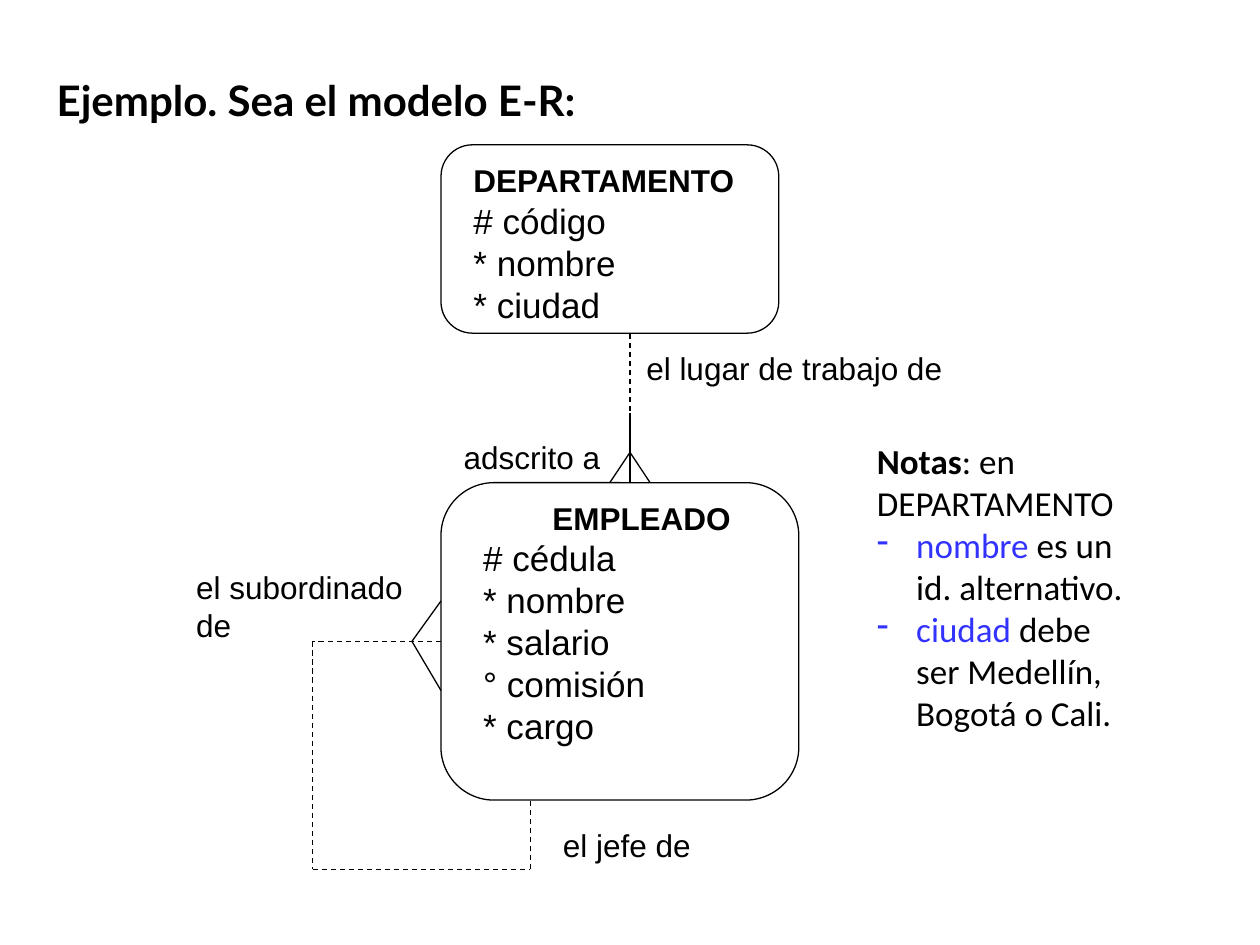
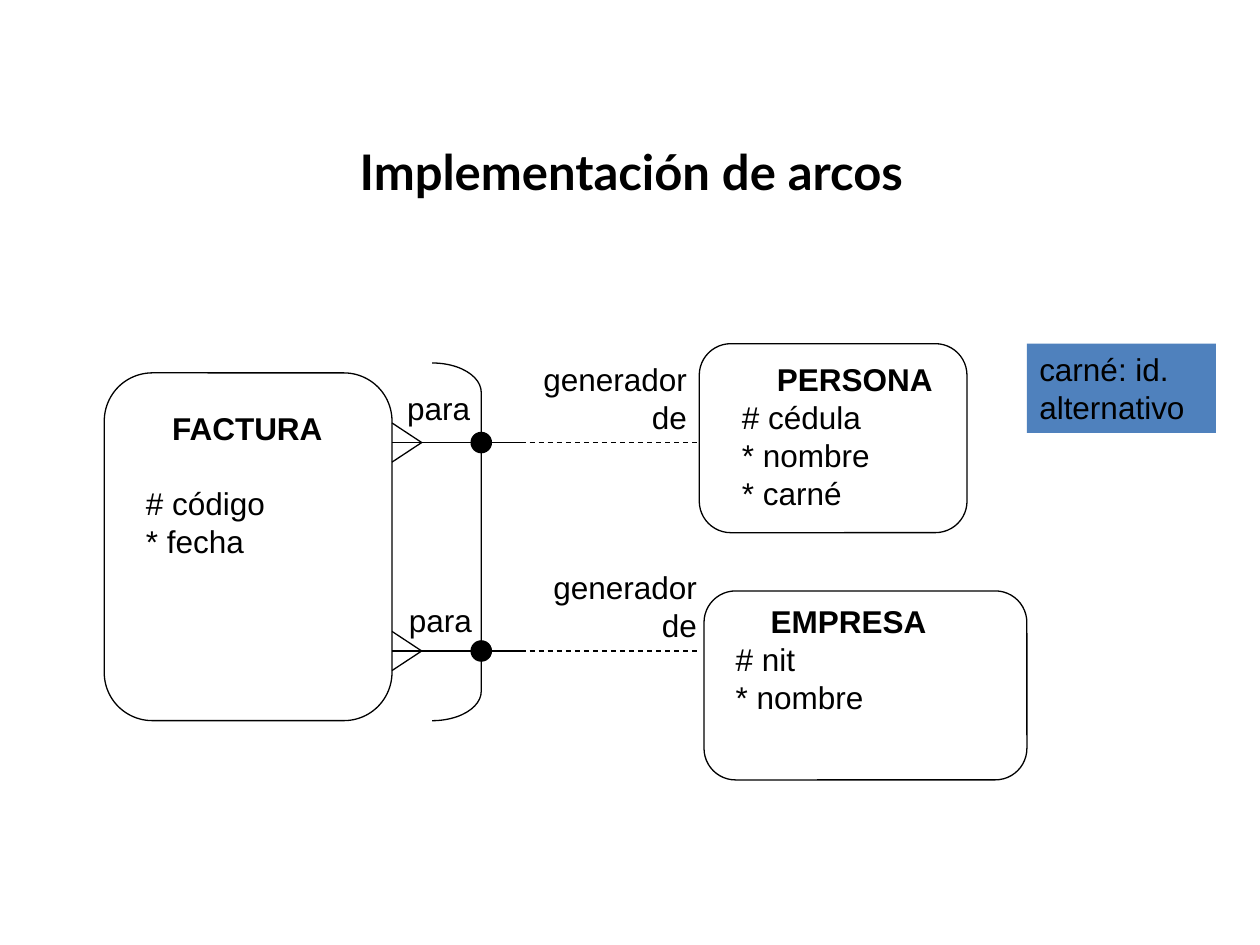
from dataclasses import dataclass

from lxml.etree import SubElement
from pptx import Presentation
from pptx.dml.color import RGBColor
from pptx.enum.dml import MSO_LINE
from pptx.enum.shapes import MSO_CONNECTOR, MSO_SHAPE
from pptx.enum.text import MSO_ANCHOR, PP_ALIGN
from pptx.oxml.ns import qn
from pptx.util import Pt

BLACK = RGBColor(0x00, 0x00, 0x00)
WHITE = RGBColor(0xFF, 0xFF, 0xFF)
BLUE = RGBColor(0x33, 0x33, 0xFF)
STEEL = RGBColor(0x4F, 0x81, 0xBD)
TITLE_FONT, BODY_FONT, NOTE_FONT = "Lato", "Arial", "Calibri"
LINE_WIDTH = 0.75

Point = tuple[float, float]
Box = tuple[float, float, float, float]


@dataclass
class Entity:
    outline: Box
    text_box: Box
    name: str
    attributes: list[str]
    name_indent: float = 0
    attribute_indent: float = 0
    attribute_size: float = 18
    name_gap: float = 0


@dataclass
class Label:
    box: Box
    lines: list[str]
    align: PP_ALIGN = PP_ALIGN.LEFT
    fill: RGBColor | None = None


@dataclass
class Line:
    start: Point
    end: Point
    dashed: bool = False


def points(box: Box) -> list[Pt]:
    return [Pt(v) for v in box]


def style_run(r, font: str, size: float, color: RGBColor = BLACK, bold: bool = False) -> None:
    r.font.name = font
    r.font.size = Pt(size)
    r.font.color.rgb = color
    r.font.bold = bold


def indent(p, left: float, first: float = 0) -> None:
    pPr = p._p.get_or_add_pPr()
    pPr.set("marL", str(Pt(left)))
    pPr.set("indent", str(Pt(first)))


def add_titled_slide(prs, title: str, box: Box, size: float, top_inset: float, align: PP_ALIGN):
    s = prs.slides.add_slide(prs.slide_layouts[5])
    sp = s.shapes.title
    sp.left, sp.top, sp.width, sp.height = points(box)
    tf = sp.text_frame
    tf.text = title
    tf.vertical_anchor = MSO_ANCHOR.TOP
    tf.margin_top = Pt(top_inset)
    p = tf.paragraphs[0]
    p.alignment = align
    style_run(p.runs[0], TITLE_FONT, size, bold=True)
    return s


def add_text_box(s, box: Box, fill: RGBColor | None = None):
    sp = s.shapes.add_textbox(*points(box))
    sp.text_frame.word_wrap = True
    if fill is not None:
        sp.fill.solid()
        sp.fill.fore_color.rgb = fill
    return sp.text_frame


def add_outline(s, kind: MSO_SHAPE, box: Box, adjustment: float | None = None,
                fill: RGBColor | None = None) -> None:
    sp = s.shapes.add_shape(kind, *points(box))
    sp.shadow.inherit = False
    sp.line.color.rgb = BLACK
    sp.line.width = Pt(LINE_WIDTH)
    if adjustment is not None:
        sp.adjustments[0] = adjustment
    if fill is None:
        sp.fill.background()
    else:
        sp.fill.solid()
        sp.fill.fore_color.rgb = fill


def add_entity(s, entity: Entity) -> None:
    add_outline(s, MSO_SHAPE.ROUNDED_RECTANGLE, entity.outline, 0.167)
    tf = add_text_box(s, entity.text_box)
    tf.text = "\n".join([entity.name, *entity.attributes])
    name, *attributes = tf.paragraphs
    indent(name, entity.name_indent)
    name.space_after = Pt(entity.name_gap)
    style_run(name.runs[0], BODY_FONT, 18, bold=True)
    for p in attributes:
        indent(p, entity.attribute_indent)
        style_run(p.runs[0], BODY_FONT, entity.attribute_size)


def add_label(s, label: Label) -> None:
    tf = add_text_box(s, label.box, label.fill)
    tf.text = "\n".join(label.lines)
    for p in tf.paragraphs:
        p.alignment = label.align
        style_run(p.runs[0], BODY_FONT, 18)


def add_line(s, line: Line) -> None:
    c = s.shapes.add_connector(MSO_CONNECTOR.STRAIGHT, *points(line.start + line.end))
    c.line.color.rgb = BLACK
    c.line.width = Pt(LINE_WIDTH)
    if line.dashed:
        c.line.dash_style = MSO_LINE.DASH
    SubElement(c._element.spPr, qn("a:effectLst"))


def add_crow_foot(s, tip: Point, toes: tuple[Point, Point]) -> None:
    for toe in toes:
        add_line(s, Line(tip, toe))


def add_dashed_route(s, stops: list[Point]) -> None:
    for start, end in zip(stops, stops[1:]):
        add_line(s, Line(start, end, dashed=True))


def add_notes_panel(s, box: Box, heading: str, intro: str, notes: list[tuple[str, str]]) -> None:
    """Write a bold heading with its intro, then dashed notes with a blue keyword each."""
    tf = add_text_box(s, box, WHITE)
    p = tf.paragraphs[0]
    for text, bold in ((heading, True), (intro, False)):
        r = p.add_run()
        r.text = text
        style_run(r, NOTE_FONT, 20, bold=bold)
    for keyword, rest in notes:
        p = tf.add_paragraph()
        indent(p, 22.5, -22.5)
        SubElement(p._p.get_or_add_pPr(), qn("a:buChar")).set("char", "-")
        for text, color in ((keyword, BLUE), (rest, BLACK)):
            r = p.add_run()
            r.text = text
            style_run(r, NOTE_FONT, 20, color)


def build_model_slide(prs) -> None:
    s = add_titled_slide(prs, "Ejemplo. Sea el modelo E-R:", (25.2, 0, 648, 90), 24, 42.5,
                         PP_ALIGN.LEFT)
    add_entity(s, Entity((252, 82.8, 193, 107.6), (263.5, 88.6, 166.5, 101), "DEPARTAMENTO",
                         ["# código", "* nombre", "* ciudad"], attribute_size=20))
    add_entity(s, Entity((252, 275.8, 204.5, 181.4), (263.5, 281.5, 209.5, 149), "EMPLEADO",
                         ["# cédula", "* nombre", "* salario", "° comisión", "* cargo"],
                         name_indent=45, attribute_indent=5.5, attribute_size=20))

    add_line(s, Line((360, 236.2), (360, 275.8)))
    add_line(s, Line((360, 190.8), (360, 236.2), dashed=True))
    add_crow_foot(s, (360, 258.5), ((348.5, 275.8), (371.5, 275.8)))
    add_dashed_route(s, [(252, 366.5), (178.6, 366.5), (178.6, 496.8), (303.1, 496.8),
                         (303.1, 457.2)])
    add_crow_foot(s, (235.4, 366.5), ((252, 343.4), (252, 394.6)))

    for label in (
        Label((314.6, 468.7, 90, 29), ["el jefe de"]),
        Label((105, 321.1, 137.5, 50.4), ["el subordinado", "de"]),
        Label((362.2, 195.8, 209.5, 29), ["el lugar de trabajo de"]),
        Label((257.8, 247, 118.8, 29), ["adscrito a"]),
    ):
        add_label(s, label)
    add_notes_panel(s, (494, 247.7, 162.7, 200.9), "Notas", ": en DEPARTAMENTO",
                    [("nombre", " es un id. alternativo."),
                     ("ciudad", " debe ser Medellín, Bogotá o Cali.")])


def build_arcs_slide(prs) -> None:
    s = add_titled_slide(prs, "Implementación de arcos", (36.7, 77, 648, 70.6), 28, 4,
                         PP_ALIGN.CENTER)
    for entity in (
        Entity((59.6, 213.1, 164.4, 198.7), (76.3, 230.4, 117.4, 93.6), "FACTURA",
               ["# código", "* fecha"], name_indent=15, name_gap=21),
        Entity((399.6, 196.4, 153, 108), (416.9, 202.3, 136, 115.2), "PERSONA",
               ["# cédula", "* nombre", "* carné"], name_indent=20),
        Entity((402.3, 337.7, 184.5, 108), (413.3, 340.6, 124.6, 94.3), "EMPRESA",
               ["# nit", "* nombre"], name_indent=20),
    ):
        add_entity(s, entity)

    factura_edge, tip_x, middle_x, target_x = 224, 241, 297.5, 399.6
    arc_x, dot = 275, 11.6
    add_outline(s, MSO_SHAPE.RIGHT_BRACKET, (247, 207.4, arc_x - 247, 204.4), 0.599)
    for y in (252.9, 372):
        add_crow_foot(s, (tip_x, y), ((factura_edge, y - 11.2), (factura_edge, y + 11.2)))
        add_line(s, Line((factura_edge, y), (middle_x, y)))
        add_line(s, Line((middle_x, y), (target_x, y), dashed=True))
        add_outline(s, MSO_SHAPE.OVAL, (arc_x - dot / 2, y - dot / 2, dot, dot), fill=BLACK)

    for label in (
        Label((297.4, 202.3, 102.2, 50.4), ["generador de"], PP_ALIGN.RIGHT),
        Label((303.1, 321.1, 102.2, 50.4), ["generador de"], PP_ALIGN.RIGHT),
        Label((213.1, 218.9, 62.6, 29), ["para"], PP_ALIGN.RIGHT),
        Label((214.2, 339.8, 62.6, 29), ["para"], PP_ALIGN.RIGHT),
        Label((586.8, 196.4, 108, 51), ["carné: id. alternativo"], fill=STEEL),
    ):
        add_label(s, label)


def main() -> None:
    prs = Presentation()
    prs.slide_width, prs.slide_height = Pt(720), Pt(540)
    build_model_slide(prs)
    build_arcs_slide(prs)
    prs.save("out.pptx")


if __name__ == "__main__":
    main()
